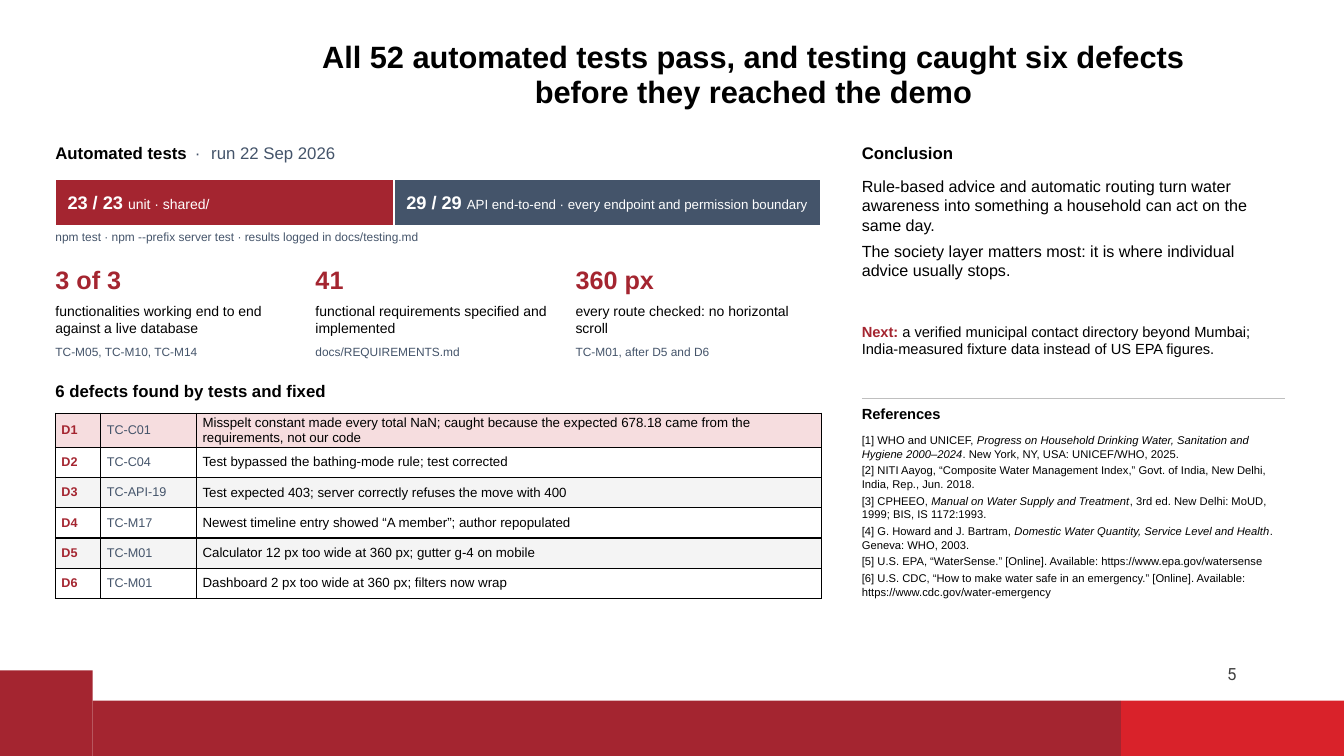
"""Build the slide on test results, defects and conclusion."""
from dataclasses import dataclass
from typing import Optional

from lxml.etree import SubElement
from pptx import Presentation
from pptx.dml.color import RGBColor
from pptx.enum.shapes import MSO_CONNECTOR, MSO_SHAPE
from pptx.enum.text import MSO_ANCHOR, MSO_AUTO_SIZE, PP_ALIGN
from pptx.oxml.ns import qn
from pptx.util import Pt

COLORS = {
    "crimson": "A42530", "red": "D9222A", "slate": "44546A", "black": "000000",
    "white": "FFFFFF", "blush": "F6DDDF", "mist": "F4F4F4", "rule": "BFBFBF",
    "number": "404040",
}
LEFT, LEFT_WIDTH = 39.6, 547.2
RIGHT, RIGHT_WIDTH = 615.6, 302.4
BAR_TOP, BAR_HEIGHT = 128.16, 33.12
METRIC_STEP = 185.76
ROW_HEIGHT = 21.6
COLUMN_WIDTHS = (32.4, 68.4, 446.4)


@dataclass(frozen=True)
class Run:
    text: str
    size: float
    color: str = "black"
    bold: bool = False
    italic: bool = False
    font: str = "Arial"
    tracking: float = 0


@dataclass(frozen=True)
class Box:
    left: float
    top: float
    width: float
    height: float


@dataclass(frozen=True)
class Suite:
    tests: int
    scope: str
    scope_size: float
    color: str


@dataclass(frozen=True)
class Metric:
    value: str
    meaning: str
    evidence: str


@dataclass(frozen=True)
class Defect:
    case: str
    story: str


@dataclass(frozen=True)
class Reference:
    lead: str
    work: str = ""
    tail: str = ""


SUITES = (
    Suite(23, "unit · shared/", 10, "crimson"),
    Suite(29, "API end-to-end · every endpoint and permission boundary", 9.5, "slate"),
)
METRICS = (
    Metric("3 of 3", "functionalities working end to end against a live database",
           "TC-M05, TC-M10, TC-M14"),
    Metric("41", "functional requirements specified and implemented",
           "docs/REQUIREMENTS.md"),
    Metric("360 px", "every route checked: no horizontal scroll",
           "TC-M01, after D5 and D6"),
)
DEFECTS = (
    Defect("TC-C01", "Misspelt constant made every total NaN; caught because the "
           "expected 678.18 came from the requirements, not our code"),
    Defect("TC-C04", "Test bypassed the bathing-mode rule; test corrected"),
    Defect("TC-API-19", "Test expected 403; server correctly refuses the move with 400"),
    Defect("TC-M17", "Newest timeline entry showed “A member”; author repopulated"),
    Defect("TC-M01", "Calculator 12 px too wide at 360 px; gutter g-4 on mobile"),
    Defect("TC-M01", "Dashboard 2 px too wide at 360 px; filters now wrap"),
)
CONCLUSIONS = (
    "Rule-based advice and automatic routing turn water awareness into something "
    "a household can act on the same day.",
    "The society layer matters most: it is where individual advice usually stops.",
)
REFERENCES = (
    Reference("WHO and UNICEF, ",
              "Progress on Household Drinking Water, Sanitation and Hygiene 2000–2024",
              ". New York, NY, USA: UNICEF/WHO, 2025."),
    Reference("NITI Aayog, “Composite Water Management Index,” Govt. of India, "
              "New Delhi, India, Rep., Jun. 2018."),
    Reference("CPHEEO, ", "Manual on Water Supply and Treatment",
              ", 3rd ed. New Delhi: MoUD, 1999; BIS, IS 1172:1993."),
    Reference("G. Howard and J. Bartram, ",
              "Domestic Water Quantity, Service Level and Health",
              ". Geneva: WHO, 2003."),
    Reference("U.S. EPA, “WaterSense.” [Online]. Available: "
              "https://www.epa.gov/watersense"),
    Reference("U.S. CDC, “How to make water safe in an emergency.” [Online]. "
              "Available: https://www.cdc.gov/water-emergency"),
)


def rgb(name: str) -> RGBColor:
    """Look up a named colour."""
    return RGBColor.from_string(COLORS[name])


def write(frame, *paragraphs: list[Run], align=PP_ALIGN.LEFT, anchor=MSO_ANCHOR.TOP,
          margins=(0, 0, 0, 0), after: float = 0, line: Optional[float] = None) -> None:
    """Fill a text frame with formatted paragraphs."""
    frame.word_wrap = True
    frame.auto_size = MSO_AUTO_SIZE.NONE
    frame.vertical_anchor = anchor
    (frame.margin_left, frame.margin_top,
     frame.margin_right, frame.margin_bottom) = map(Pt, margins)
    for index, runs in enumerate(paragraphs):
        paragraph = frame.add_paragraph() if index else frame.paragraphs[0]
        properties = paragraph._p.get_or_add_pPr()
        properties.set("marL", "0")
        properties.set("indent", "0")
        SubElement(properties, qn("a:buNone"))
        paragraph.alignment = align
        paragraph.space_before = Pt(0)
        paragraph.space_after = Pt(after)
        paragraph.line_spacing = line
        for item in runs:
            run = paragraph.add_run()
            run.text = item.text
            run.font.size = Pt(item.size)
            run.font.name = item.font
            run.font.bold = item.bold
            run.font.italic = item.italic
            run.font.color.rgb = rgb(item.color)
            if item.tracking:
                run._r.get_or_add_rPr().set("spc", str(round(item.tracking * 100)))


def place(shape, box: Box) -> None:
    """Move and size a shape."""
    shape.left, shape.top = Pt(box.left), Pt(box.top)
    shape.width, shape.height = Pt(box.width), Pt(box.height)


def add_label(slide, box: Box, *runs: Run, **layout) -> None:
    """Add a text box holding one paragraph."""
    label = slide.shapes.add_textbox(0, 0, 0, 0)
    place(label, box)
    write(label.text_frame, list(runs), **layout)


def add_block(slide, box: Box, color: str, outlined: bool = False):
    """Add a filled rectangle."""
    block = slide.shapes.add_shape(MSO_SHAPE.RECTANGLE, 0, 0, 0, 0)
    place(block, box)
    block.shadow.inherit = False
    block.fill.solid()
    block.fill.fore_color.rgb = rgb(color)
    if outlined:
        block.line.color.rgb = rgb("white")
        block.line.width = Pt(1.5)
    else:
        block.line.fill.background()
    return block


def add_suites(slide) -> None:
    """Draw the test bar, split in proportion to the test counts."""
    total = sum(suite.tests for suite in SUITES)
    left = LEFT
    for suite in SUITES:
        width = round(LEFT_WIDTH * suite.tests / total, 2)
        segment = add_block(slide, Box(left, BAR_TOP, width, BAR_HEIGHT),
                            suite.color, outlined=True)
        write(segment.text_frame,
              [Run(f"{suite.tests} / {suite.tests} ", 13, "white", bold=True),
               Run(suite.scope, suite.scope_size, "white")],
              anchor=MSO_ANCHOR.MIDDLE, margins=(8.64, 0, 5.76, 0))
        left += width


def add_metrics(slide) -> None:
    """Draw the three headline figures."""
    for index, metric in enumerate(METRICS):
        left = LEFT + index * METRIC_STEP
        add_label(slide, Box(left, 188.64, 176.4, 28.8),
                  Run(metric.value, 18, "crimson", bold=True))
        add_label(slide, Box(left, 216, 172.8, 30.24), Run(metric.meaning, 10))
        add_label(slide, Box(left, 246.24, 172.8, 14.4),
                  Run(metric.evidence, 8.5, "slate"))


def add_defects(slide) -> None:
    """Draw the defect table."""
    table = slide.shapes.add_table(
        len(DEFECTS), len(COLUMN_WIDTHS), Pt(LEFT), Pt(295.2),
        Pt(LEFT_WIDTH), Pt(ROW_HEIGHT * len(DEFECTS))).table
    table.first_row = table.horz_banding = False
    for column, width in zip(table.columns, COLUMN_WIDTHS):
        column.width = Pt(width)
    for index, defect in enumerate(DEFECTS):
        table.rows[index].height = Pt(ROW_HEIGHT)
        shade = "blush" if index == 0 else ("white", "mist")[(index + 1) % 2]
        entries = (Run(f"D{index + 1}", 9, "crimson", bold=True),
                   Run(defect.case, 9, "slate"), Run(defect.story, 9.5))
        for cell, entry in zip(table.rows[index].cells, entries):
            write(cell.text_frame, [entry])
            cell.vertical_anchor = MSO_ANCHOR.MIDDLE
            cell.margin_left, cell.margin_right = Pt(4.32), Pt(2.88)
            cell.margin_top = cell.margin_bottom = Pt(1.44)
            properties = cell._tc.get_or_add_tcPr()
            for side in ("lnL", "lnR", "lnT", "lnB"):
                border = SubElement(properties, qn(f"a:{side}"), w=str(Pt(1)))
                ink = SubElement(border, qn("a:solidFill"))
                SubElement(ink, qn("a:srgbClr"), val=COLORS["black"])
            cell.fill.solid()
            cell.fill.fore_color.rgb = rgb(shade)


def add_right_column(slide, conclusion, references) -> None:
    """Fill the conclusion, next step and references."""
    add_label(slide, Box(RIGHT, 102.24, RIGHT_WIDTH, 20.16),
              Run("Conclusion", 12, bold=True))
    place(conclusion, Box(RIGHT, 126, RIGHT_WIDTH, 115.2))
    write(conclusion.text_frame, *([Run(text, 11.5)] for text in CONCLUSIONS), after=5)
    add_label(slide, Box(RIGHT, 230.4, RIGHT_WIDTH, 44.64),
              Run("Next: ", 10.5, "crimson", bold=True),
              Run("a verified municipal contact directory beyond Mumbai; "
                  "India-measured fixture data instead of US EPA figures.", 10.5))
    divider = slide.shapes.add_connector(
        MSO_CONNECTOR.STRAIGHT, Pt(RIGHT), Pt(284.4), Pt(RIGHT + RIGHT_WIDTH), Pt(284.4))
    divider.line.color.rgb = rgb("rule")
    divider.line.width = Pt(0.75)
    SubElement(divider._element.spPr, qn("a:effectLst"))
    add_label(slide, Box(RIGHT, 289.44, RIGHT_WIDTH, 17.28),
              Run("References", 10.5, bold=True))
    place(references, Box(RIGHT, 309.6, RIGHT_WIDTH, 154.8))
    entries = []
    for number, reference in enumerate(REFERENCES, 1):
        entry = [Run(f"[{number}] {reference.lead}", 8)]
        if reference.work:
            entry += [Run(reference.work, 8, italic=True), Run(reference.tail, 8)]
        entries.append(entry)
    write(references.text_frame, *entries, after=2.5)


def main() -> None:
    """Build and save the slide."""
    deck = Presentation()
    deck.slide_width, deck.slide_height = Pt(960), Pt(540)
    slide = deck.slides.add_slide(deck.slide_layouts[3])
    headline, conclusion, references = slide.placeholders
    add_block(slide, Box(0, 478.8, 66.24, 61.2), "crimson")
    add_block(slide, Box(800.64, 500.4, 159.36, 39.6), "red")
    add_block(slide, Box(66.24, 500.4, 734.4, 39.6), "crimson")
    place(headline, Box(205.2, 15.84, 666, 75.6))
    write(headline.text_frame,
          [Run("All 52 automated tests pass, and testing caught six defects "
               "before they reached the demo", 22, bold=True)],
          align=PP_ALIGN.CENTER, anchor=MSO_ANCHOR.MIDDLE,
          margins=(7.2, 3.6, 7.2, 3.6), line=0.95)
    add_label(slide, Box(800.64, 461.52, 158.4, 38.88),
              Run("5", 12, "number", font="Roboto"),
              align=PP_ALIGN.CENTER, anchor=MSO_ANCHOR.MIDDLE)
    add_label(slide, Box(LEFT, 102.24, LEFT_WIDTH, 20.16),
              Run("Automated tests", 12, bold=True),
              Run(" · ", 12, "slate", tracking=2.2), Run("run 22 Sep 2026", 12, "slate"))
    add_suites(slide)
    add_label(slide, Box(LEFT, 164.16, LEFT_WIDTH, 15.84),
              Run("npm test · npm --prefix server test · results logged in "
                  "docs/testing.md", 8.5, "slate"))
    add_metrics(slide)
    add_label(slide, Box(LEFT, 272.16, LEFT_WIDTH, 20.16),
              Run("6 defects found by tests and fixed", 12, bold=True))
    add_defects(slide)
    add_right_column(slide, conclusion, references)
    deck.save("out.pptx")


if __name__ == "__main__":
    main()
